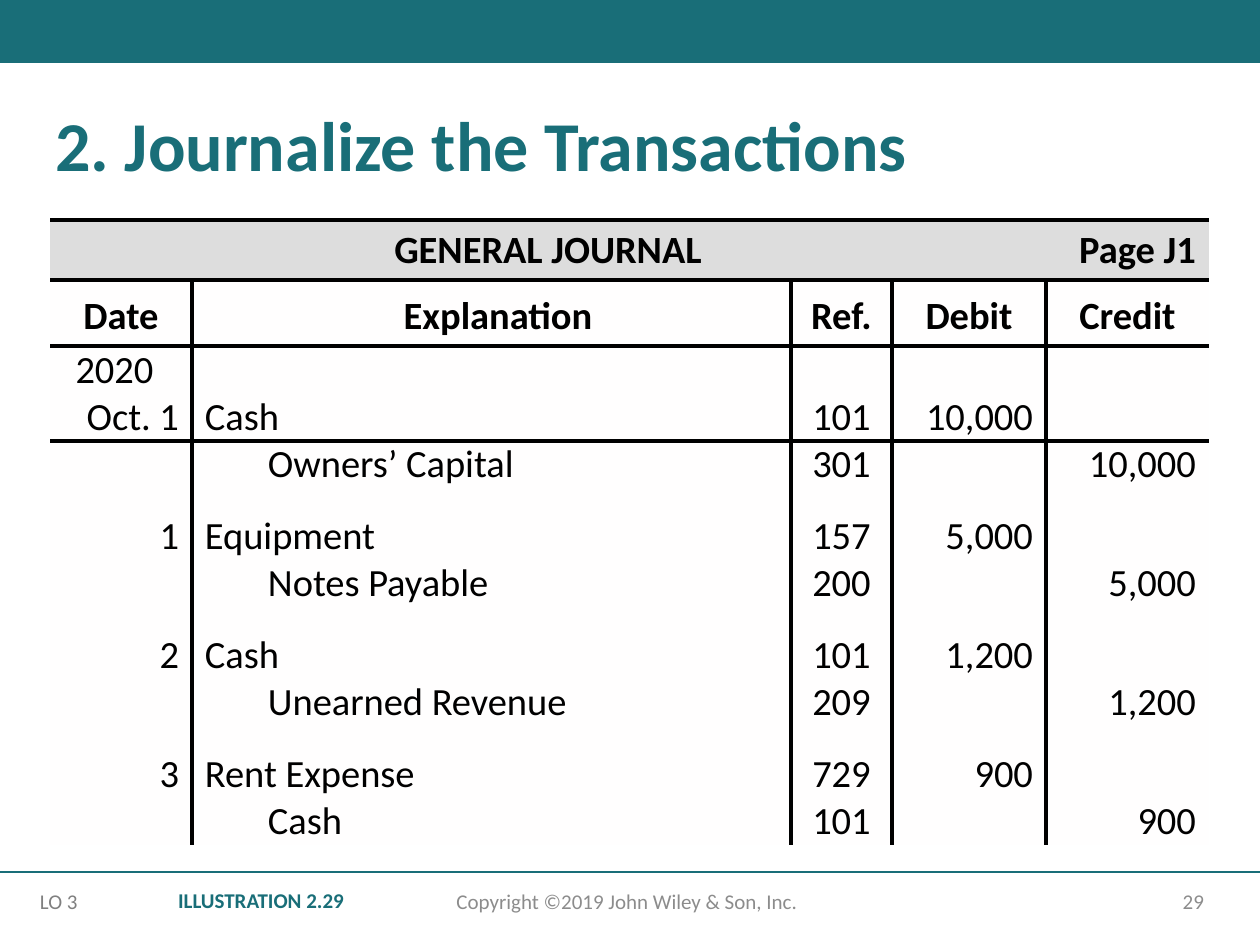
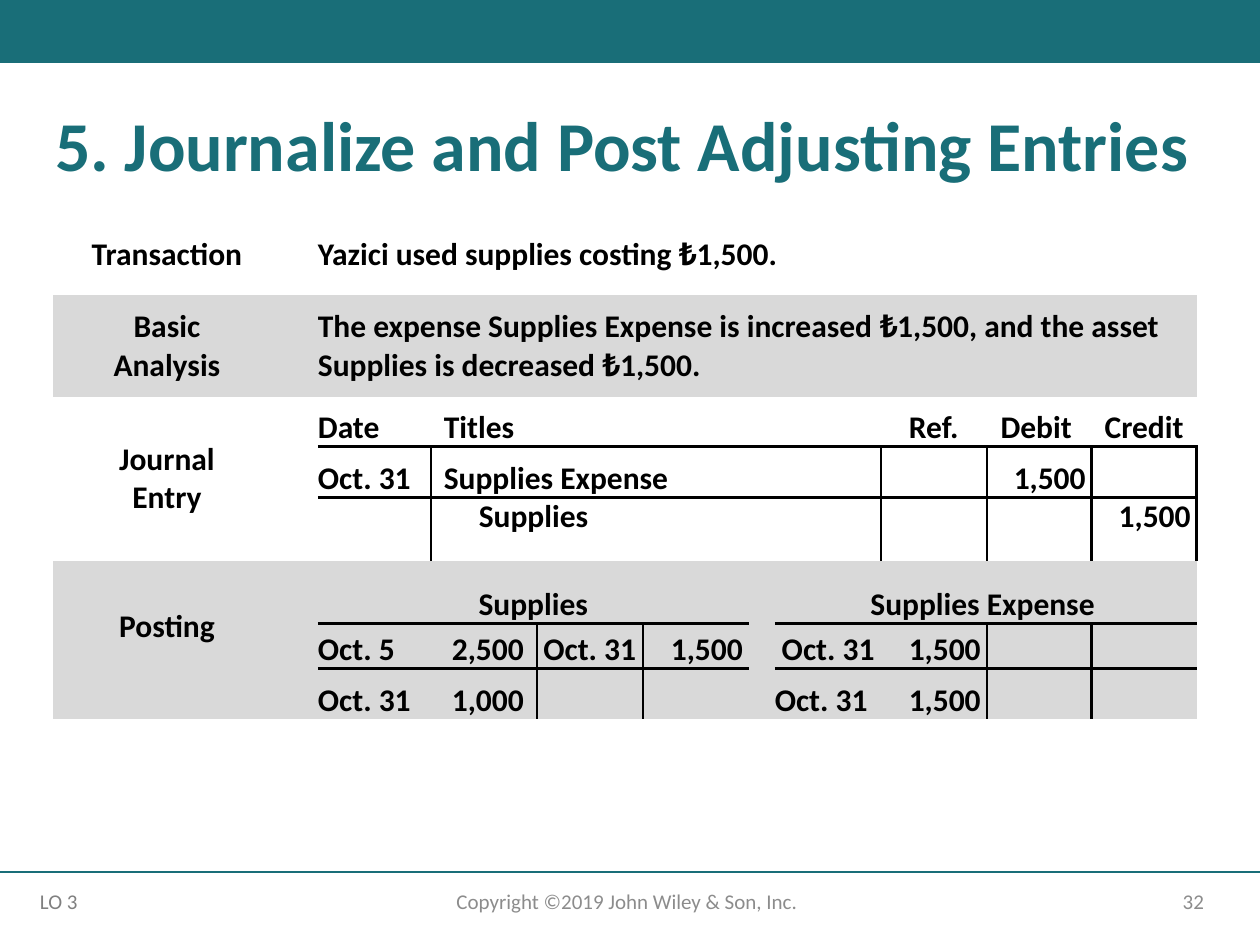
import pptx
import pptx.util
import pptx.dml.color
import pptx.enum.shapes
import pptx.enum.text
import lxml.etree

SCALE = 914400 / 126  # EMU in one px
FONT = "Calibri"
HUES = {"teal": "196E78", "black": "000000", "grey": "8C8C8C", "note": "808080",
        "head": "DDDDDD", "paper": "FFFEFE", "band": "D9D9D9"}
ALIGN = {"l": pptx.enum.text.PP_ALIGN.LEFT, "c": pptx.enum.text.PP_ALIGN.CENTER,
         "r": pptx.enum.text.PP_ALIGN.RIGHT}
ANCHOR = {"t": pptx.enum.text.MSO_ANCHOR.TOP, "m": pptx.enum.text.MSO_ANCHOR.MIDDLE,
          "b": pptx.enum.text.MSO_ANCHOR.BOTTOM}
PLAIN = "{2D5ABB26-0587-4C30-8999-92F81FD0307C}"  # no style, no grid
NS = "http://schemas.openxmlformats.org/drawingml/2006/main"
rgb = pptx.dml.color.RGBColor.from_string


def px(n):
    return pptx.util.Emu(round(n * SCALE))


def write(host, text, size, hue, bold=False, align="l", anchor="t",
          pads=(13, 6, 13, 6), lead=None):
    """Fill a cell or text frame; align holds one letter per line of text."""
    for side, pad in zip(("left", "top", "right", "bottom"), pads):
        setattr(host, f"margin_{side}", px(pad))
    host.vertical_anchor = ANCHOR[anchor]
    frame = getattr(host, "text_frame", host)
    frame.word_wrap = True
    look = {"name": FONT, "size": pptx.util.Pt(size), "bold": bold}
    for i, line in enumerate(text.split("\n")):
        par = frame.add_paragraph() if i else frame.paragraphs[0]
        par.alignment = ALIGN[align[i % len(align)]]
        if lead:
            par.line_spacing = lead
        run = par.add_run()
        run.text = line
        for key, value in look.items():
            setattr(run.font, key, value)
        run.font.color.rgb = rgb(HUES[hue])


deck = pptx.Presentation()
deck.slide_width, deck.slide_height = px(1260), px(945)

# Journal table: text, alignment, anchor and pads by row and column
journal = {
    (0, 0): ("GENERAL JOURNAL", "c", "m", (0, 6, 0, 6), True),
    (0, 4): ("Page J1", "r", "m", (0, 6, 13, 6), True),
}
for col, name in enumerate(("Date", "Explanation", "Ref.", "Debit", "Credit")):
    journal[1, col] = (name, "c", "b", (13 if col == 1 else 0, 13, 0, 6), True)
entries = [
    ("2020\nOct. 1", "Cash", "101", "Owners’ Capital", "301", "10,000"),
    ("1", "Equipment", "157", "Notes Payable", "200", "5,000"),
    ("2", "Cash", "101", "Unearned Revenue", "209", "1,200"),
    ("3", "Rent Expense", "729", "Cash", "101", "900"),
]
for n, (date, debit, ref, credit, other, sum_) in enumerate(entries):
    row, gap = 2 + 2 * n, 25 if n else 0
    for spot, text, align, left, top, right in (
            ((row, 0), date, "cr" if "\n" in date else "r", 0, gap, 13),
            ((row, 1), debit, "l", 13, gap, 0),
            ((row, 2), ref, "c", 0, gap, 0),
            ((row, 3), sum_, "r", 0, gap, 13),
            ((row + 1, 1), credit, "l", 76, 0, 0),
            ((row + 1, 2), other, "c", 0, 0, 0),
            ((row + 1, 4), sum_, "r", 0, 0, 13)):
        journal[spot] = (text, align, "b", (left, top, right, 0), False)

# Adjusting entry: the same layout of values
adjust = {
    (0, 0): ("Transaction", "c", "m", (0, 0, 0, 13)),
    (0, 2): ("Yazici used supplies costing ₺1,500.", "l", "m", (0, 0, 0, 13)),
    (1, 0): ("Basic\nAnalysis", "c", "m", (0, 13, 0, 13)),
    (1, 2): ("The expense Supplies Expense is increased ₺1,500, and the asset "
             "Supplies is decreased ₺1,500.", "l", "m", (0, 13, 0, 13)),
    (2, 0): ("Journal\nEntry", "c", "m", (0, 13, 0, 13)),
    (2, 2): ("Date", "l", "b", (0, 0, 0, 0)),
    (2, 3): ("Titles", "l", "b", (13, 0, 0, 0)),
    (2, 8): ("Ref.", "c", "b", (0, 0, 0, 0)),
    (2, 9): ("Debit", "c", "b", (0, 0, 6, 0)),
    (2, 10): ("Credit", "c", "b", (0, 0, 0, 0)),
    (3, 2): ("Oct. 31", "l", "b", (0, 13, 0, 0)),
    (3, 3): ("Supplies Expense", "l", "b", (13, 13, 0, 0)),
    (3, 9): ("1,500", "r", "b", (0, 13, 6, 0)),
    (4, 3): ("Supplies", "l", "b", (48, 0, 0, 25)),
    (4, 10): ("1,500", "r", "b", (0, 0, 6, 25)),
    (5, 0): ("Posting", "c", "m", (0, 25, 0, 0)),
    (5, 2): ("Supplies", "c", "b", (0, 25, 0, 0)),
    (5, 7): ("Supplies Expense", "c", "b", (0, 25, 6, 0)),
    (6, 2): ("Oct. 5", "l", "b", (0, 0, 0, 0)),
    (6, 3): ("2,500", "r", "b", (0, 0, 13, 0)),
    (6, 4): ("Oct. 31", "c", "b", (0, 0, 0, 0)),
    (6, 5): ("1,500", "r", "b", (0, 0, 6, 0)),
    (6, 7): ("Oct. 31", "l", "b", (7, 0, 0, 0)),
    (6, 8): ("1,500", "r", "b", (0, 0, 6, 0)),
    (7, 2): ("Oct. 31", "l", "b", (0, 13, 0, 0)),
    (7, 3): ("1,000", "r", "b", (0, 13, 13, 0)),
    (7, 7): ("Oct. 31", "l", "b", (0, 13, 0, 0)),
    (7, 8): ("1,500", "r", "b", (0, 13, 6, 0)),
}
adjust = {spot: (*cell, True) for spot, cell in adjust.items()}
posts = [2, 3, 4, 5, 7, 8, 9, 10]

# "flat" gives the columns ruled at each row edge, "vert" the column edges ruled in each row
pages = [
    {"title": "2. Journalize the Transactions", "page": "29", "tag": "ILLUSTRATION 2.29",
     "at": (50, 220), "cols": [142, 599, 101, 154, 163],
     "rows": [60, 66, 95] + [47, 72] * 3 + [47], "size": 22, "line": 2.25,
     "cells": journal, "spans": [(0, 0, 0, 3)], "fills": ["head"] + ["paper"] * 9,
     "flat": {edge: range(5) for edge in range(3)},
     "vert": {row: [1, 2, 3, 4] for row in range(1, 10)}},
    {"title": "5. Journalize and Post Adjusting Entries", "page": "32", "tag": None,
     "at": (53, 228), "cols": [228, 37, 113] + [106] * 3 + [26] + [106] * 2 + [105] * 2,
     "rows": [67, 101, 50, 51, 63, 63, 45, 50], "size": 18, "line": 1.5,
     "cells": adjust,
     "spans": [(0, 2, 0, 10), (1, 2, 1, 10), (2, 0, 4, 0), (2, 3, 2, 7), (3, 3, 3, 7),
               (4, 3, 4, 7), (5, 0, 6, 0), (5, 2, 5, 5), (5, 7, 5, 10)],
     "fills": [None, "band"] + [None] * 3 + ["band"] * 3,
     "flat": {3: range(2, 11), 6: posts, 7: posts},
     "vert": {3: [3, 8, 9, 10], 4: [3, 8, 9, 10], 6: [4, 9], 7: [4, 9]}},
]

for page in pages:
    slide = deck.slides.add_slide(deck.slide_layouts[6])

    # Top band and footer line
    band = slide.shapes.add_shape(pptx.enum.shapes.MSO_SHAPE.RECTANGLE, 0, 0, px(1260), px(63))
    band.shadow.inherit = False
    band.fill.solid()
    band.fill.fore_color.rgb = rgb(HUES["teal"])
    band.line.fill.background()
    rule = slide.shapes.add_connector(pptx.enum.shapes.MSO_CONNECTOR.STRAIGHT,
                                      0, px(872), px(1260), px(872))
    rule.line.color.rgb = rgb(HUES["teal"])
    rule.line.width = pptx.util.Pt(1)
    lxml.etree.SubElement(rule.element.spPr, f"{{{NS}}}effectLst")

    # Title and footers
    notes = [
        ((42, 105, 1218, 89), page["title"], 40, "teal", {"bold": True, "lead": 0.9}),
        ((890, 876, 327, 50), page["page"], 12, "grey", {"align": "r", "anchor": "m"}),
        ((414, 876, 426, 50), "Copyright ©2019 John Wiley & Son, Inc.", 12, "grey",
         {"align": "c", "anchor": "m"}),
        ((31, 883, 67, 38), "LO 3", 12, "note", {"pads": (9, 6, 0, 6)}),
    ]
    if page["tag"]:
        notes.append(((147, 882, 210, 38), page["tag"], 12, "teal",
                      {"bold": True, "align": "r"}))
    for box, text, size, hue, form in notes:
        frame = slide.shapes.add_textbox(*map(px, box)).text_frame
        write(frame, text, size, hue, **form)

    # Table
    cols, rows = page["cols"], page["rows"]
    left, top = page["at"]
    grid = slide.shapes.add_table(len(rows), len(cols), px(left), px(top),
                                  px(sum(cols)), px(sum(rows)))
    next(grid.element.iter(f"{{{NS}}}tableStyleId")).text = PLAIN
    table = grid.table
    table.first_row = table.horz_banding = False
    for col, width in zip(table.columns, cols):
        col.width = px(width)
    for row, height in zip(table.rows, rows):
        row.height = px(height)
    for r1, c1, r2, c2 in page["spans"]:
        table.cell(r1, c1).merge(table.cell(r2, c2))

    flat, vert = page["flat"], page["vert"]
    tail = f'<a:solidFill xmlns:a="{NS}"><a:srgbClr val="{HUES["black"]}"/></a:solidFill>'
    for r, tone in enumerate(page["fills"]):
        for c in range(len(cols)):
            cell = table.cell(r, c)
            for side in ("left", "top", "right", "bottom"):
                setattr(cell, f"margin_{side}", 0)
            if (r, c) in page["cells"]:
                text, align, anchor, pads, bold = page["cells"][r, c]
                write(cell, text, page["size"], "black", bold, align, anchor, pads)
            sides = {"L": c in vert.get(r, []), "R": c + 1 in vert.get(r, []),
                     "T": c in flat.get(r, []), "B": c in flat.get(r + 1, [])}
            props = cell.fill and next(cell.text_frame._element.getparent().iter(f"{{{NS}}}tcPr"))
            for side, drawn in sides.items():
                if drawn:
                    edge = lxml.etree.SubElement(props, f"{{{NS}}}ln{side}",
                                                 w=str(pptx.util.Pt(page["line"])))
                    edge.append(lxml.etree.fromstring(tail))
            if tone:
                cell.fill.solid()
                cell.fill.fore_color.rgb = rgb(HUES[tone])
            else:
                cell.fill.background()

deck.save("out.pptx")
